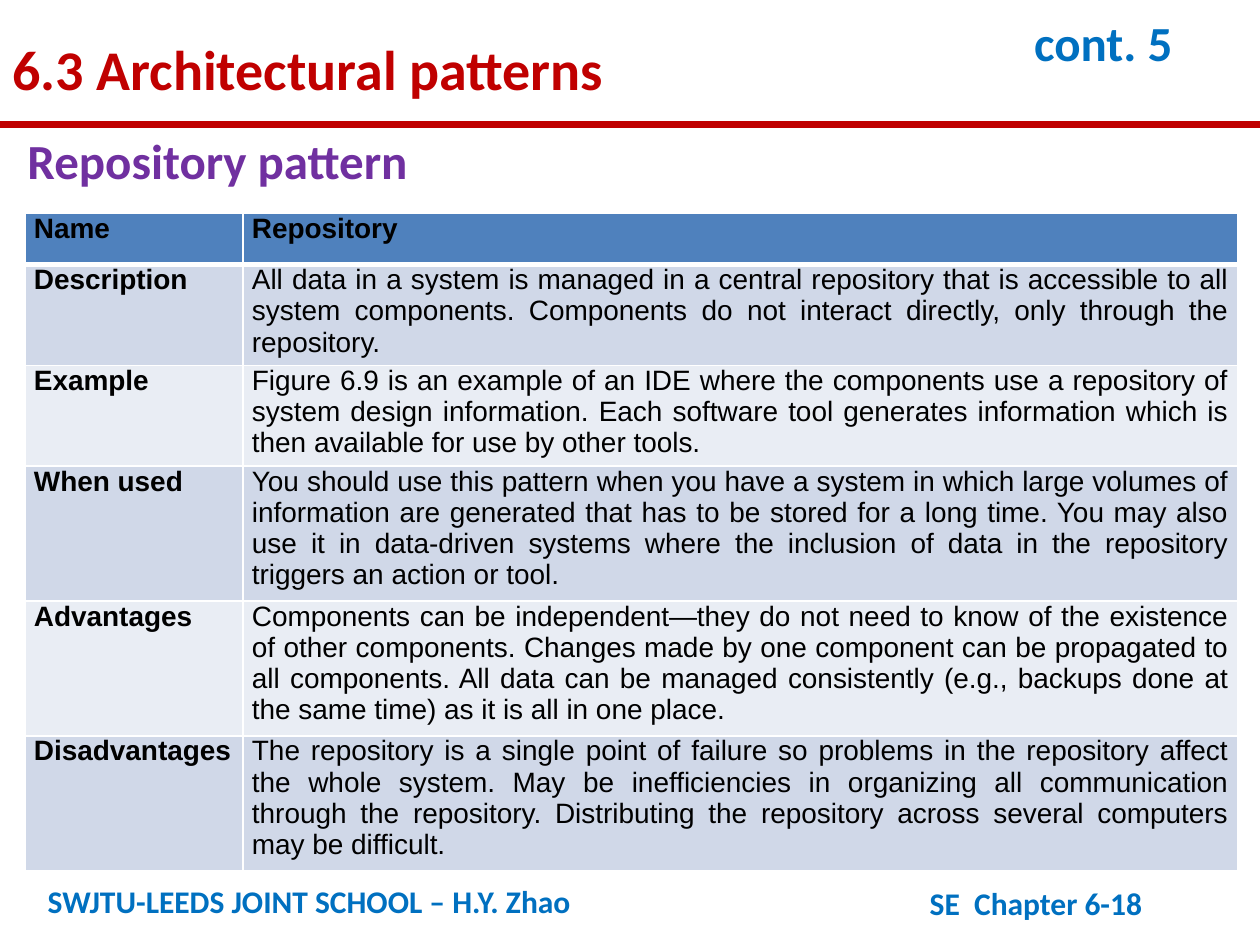
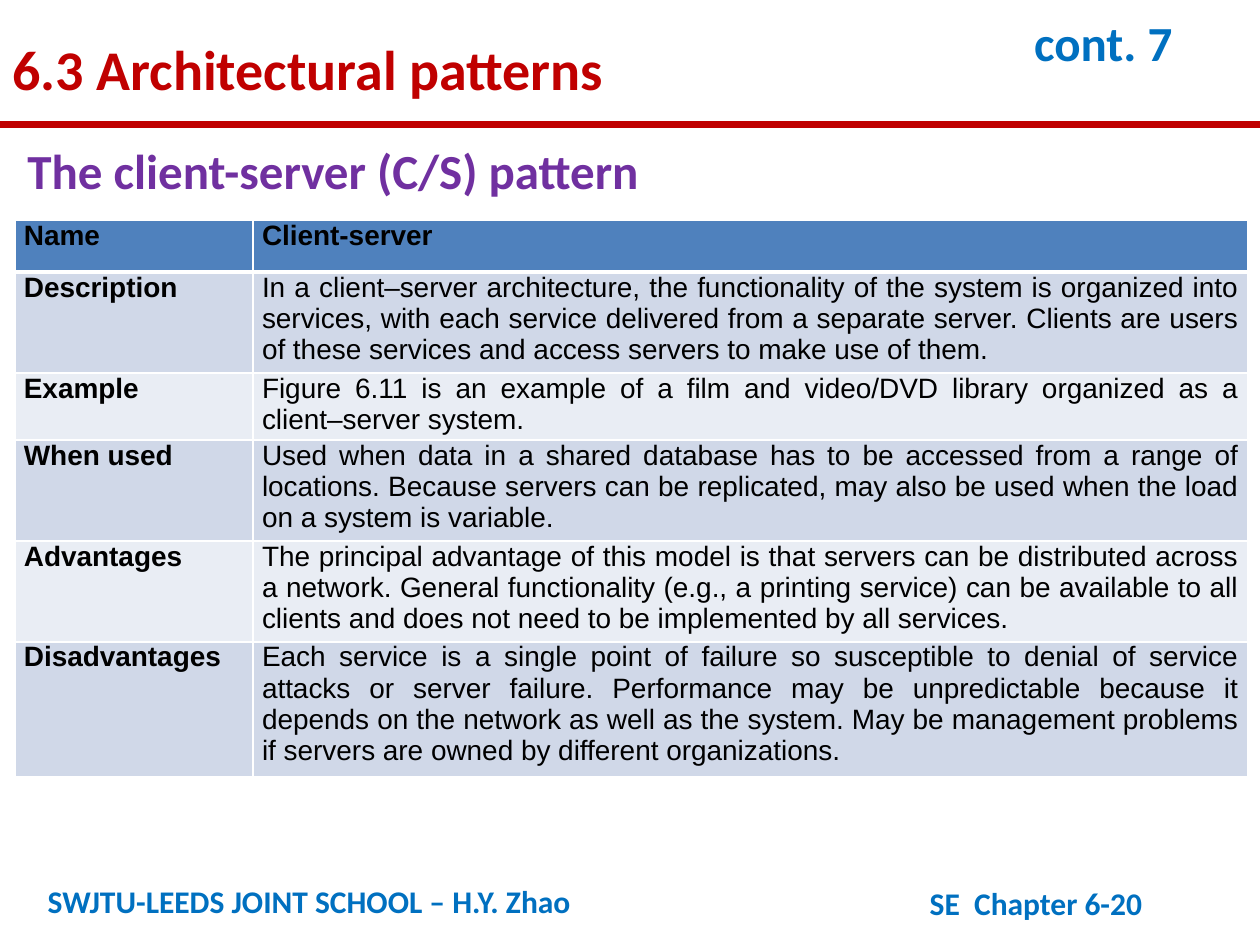
"""Build two slides that describe architectural patterns in tables."""
from lxml import etree
from pptx import Presentation
from pptx.dml.color import RGBColor
from pptx.enum.shapes import MSO_CONNECTOR
from pptx.enum.text import MSO_ANCHOR, PP_ALIGN
from pptx.oxml.ns import qn
from pptx.util import Inches, Pt

STRAIGHT = MSO_CONNECTOR.STRAIGHT
JUSTIFY = PP_ALIGN.JUSTIFY
TOP = MSO_ANCHOR.TOP

RED, BLUE, PURPLE = "C00000", "0070C0", "7030A0"
BLACK, WHITE = "000000", "FFFFFF"
HEADER, BANDS = "4F81BD", ("E9EDF4", "D0D8E8")
color = RGBColor.from_string

prs = Presentation()
prs.slide_width, prs.slide_height = Inches(10), Inches(7.5)
COL = prs.slide_width / 100
ROW = prs.slide_height / 75
BLANK_LAYOUT = prs.slide_layouts[6]

RULE_ROW = 9.9
TEXT_COLS = 78.9
HEADER_ROWS, LINE_ROWS = 4.1, 2.7
CELL_FORMAT = {"margin_left": Inches(0.07), "margin_right": Inches(0.07),
               "margin_top": 0, "margin_bottom": 0, "vertical_anchor": TOP}
FIELDS = ["Name", "Description", "Example", "When used", "Advantages", "Disadvantages"]

PATTERNS = [
    {
        "cont": "cont. 5", "page": "SE  Chapter 6-18",
        "heading": "Repository pattern", "heading_at": (1.2, 9.9, 67.7, 5.7),
        "table_at": (2, 16.9), "field_cols": 17.3, "lines": [3, 3, 4, 4, 4],
        "texts": [
            "Repository",
            "All data in a system is managed in a central repository that is accessible "
            "to all system components. Components do not interact directly, only through "
            "the repository.",
            "Figure 6.9 is an example of an IDE where the components use a repository of "
            "system design information. Each software tool generates information which "
            "is then available for use by other tools.",
            "You should use this pattern when you have a system in which large volumes "
            "of information are generated that has to be stored for a long time. You may "
            "also use it in data-driven systems where the inclusion of data in the "
            "repository triggers an action or tool.",
            "Components can be independent—they do not need to know of the existence of "
            "other components. Changes made by one component can be propagated to all "
            "components. All data can be managed consistently (e.g., backups done at the "
            "same time) as it is all in one place.",
            "The repository is a single point of failure so problems in the repository "
            "affect the whole system. May be inefficiencies in organizing all "
            "communication through the repository. Distributing the repository across "
            "several computers may be difficult.",
        ],
    },
    {
        "cont": "cont. 7", "page": "SE  Chapter 6-20",
        "heading": "The client-server (C/S) pattern", "heading_at": (1.2, 10.7, 96.4, 5.7),
        "table_at": (1.2, 17.5), "field_cols": 18.9, "lines": [3, 2, 3, 3, 4],
        "texts": [
            "Client-server",
            "In a client–server architecture, the functionality of the system is "
            "organized into services, with each service delivered from a separate "
            "server. Clients are users of these services and access servers to make use "
            "of them.",
            "Figure 6.11 is an example of a film and video/DVD library organized as a "
            "client–server system.",
            "Used when data in a shared database has to be accessed from a range of "
            "locations. Because servers can be replicated, may also be used when the "
            "load on a system is variable.",
            "The principal advantage of this model is that servers can be distributed "
            "across a network. General functionality (e.g., a printing service) can be "
            "available to all clients and does not need to be implemented by all "
            "services.",
            "Each service is a single point of failure so susceptible to denial of "
            "service attacks or server failure. Performance may be unpredictable because "
            "it depends on the network as well as the system. May be management problems "
            "if servers are owned by different organizations.",
        ],
    },
]


def write(frame, text, size, hex_color, font="Calibri", bold=True, **paragraph_format):
    frame.word_wrap = True
    paragraph = frame.paragraphs[0]
    for key, value in paragraph_format.items():
        setattr(paragraph, key, value)
    run = paragraph.add_run()
    run.text = text
    for key, value in {"name": font, "size": Pt(size), "bold": bold}.items():
        setattr(run.font, key, value)
    run.font.color.rgb = color(hex_color)


def grid(left, top, width, height):
    return [int(left * COL), int(top * ROW), int(width * COL), int(height * ROW)]


for pattern in PATTERNS:
    slide = prs.slides.add_slide(BLANK_LAYOUT)

    rule = slide.shapes.add_connector(
        STRAIGHT, 0, int(RULE_ROW * ROW), prs.slide_width, int(RULE_ROW * ROW))
    rule.line.width = Pt(4)
    rule.line.color.rgb = color(RED)
    etree.SubElement(rule._element.spPr, qn("a:effectLst"))

    for place, text, size, hex_color, spacing in [
        ((2.8, 69.5, 63.1, 4), "SWJTU-LEEDS JOINT SCHOOL – H.Y. Zhao", 18, BLUE, None),
        ((72.8, 69.7, 26.1, 4), pattern["page"], 18, BLUE, None),
        ((0, 1.2, 65.4, 7), "6.3 Architectural patterns", 32, RED, 1.2),
        ((81.1, 1.7, 15.7, 4.7), pattern["cont"], 28, BLUE, Pt(25)),
        (pattern["heading_at"], pattern["heading"], 28, PURPLE, None),
    ]:
        box = slide.shapes.add_textbox(*grid(*place))
        write(box.text_frame, text, size, hex_color, line_spacing=spacing)

    row_heights = [HEADER_ROWS] + [LINE_ROWS * n - 0.1 for n in pattern["lines"]]
    col_widths = [pattern["field_cols"], TEXT_COLS]
    table = slide.shapes.add_table(
        len(FIELDS), 2,
        *grid(*pattern["table_at"], sum(col_widths), sum(row_heights))).table
    for column, width in zip(table.columns, col_widths):
        column.width = int(width * COL)

    for r, entry in enumerate(zip(FIELDS, pattern["texts"])):
        table.rows[r].height = int(row_heights[r] * ROW)
        for c, text in enumerate(entry):
            cell = table.cell(r, c)
            for key, value in CELL_FORMAT.items():
                setattr(cell, key, value)
            write(cell.text_frame, text, 16, BLACK, "Arial",
                  bold=r == 0 or c == 0, alignment=JUSTIFY)
            borders = {"lnL": 1, "lnR": 1, "lnT": 3 if r == 1 else 1, "lnB": 3 if r == 0 else 1}
            for side, points in borders.items():
                border = etree.SubElement(
                    cell._tc.get_or_add_tcPr(), qn(f"a:{side}"), w=str(Pt(points)))
                paint = etree.SubElement(border, qn("a:solidFill"))
                etree.SubElement(paint, qn("a:srgbClr"), val=WHITE)
            cell.fill.solid()
            cell.fill.fore_color.rgb = color(BANDS[r % 2] if r else HEADER)

prs.save("out.pptx")
